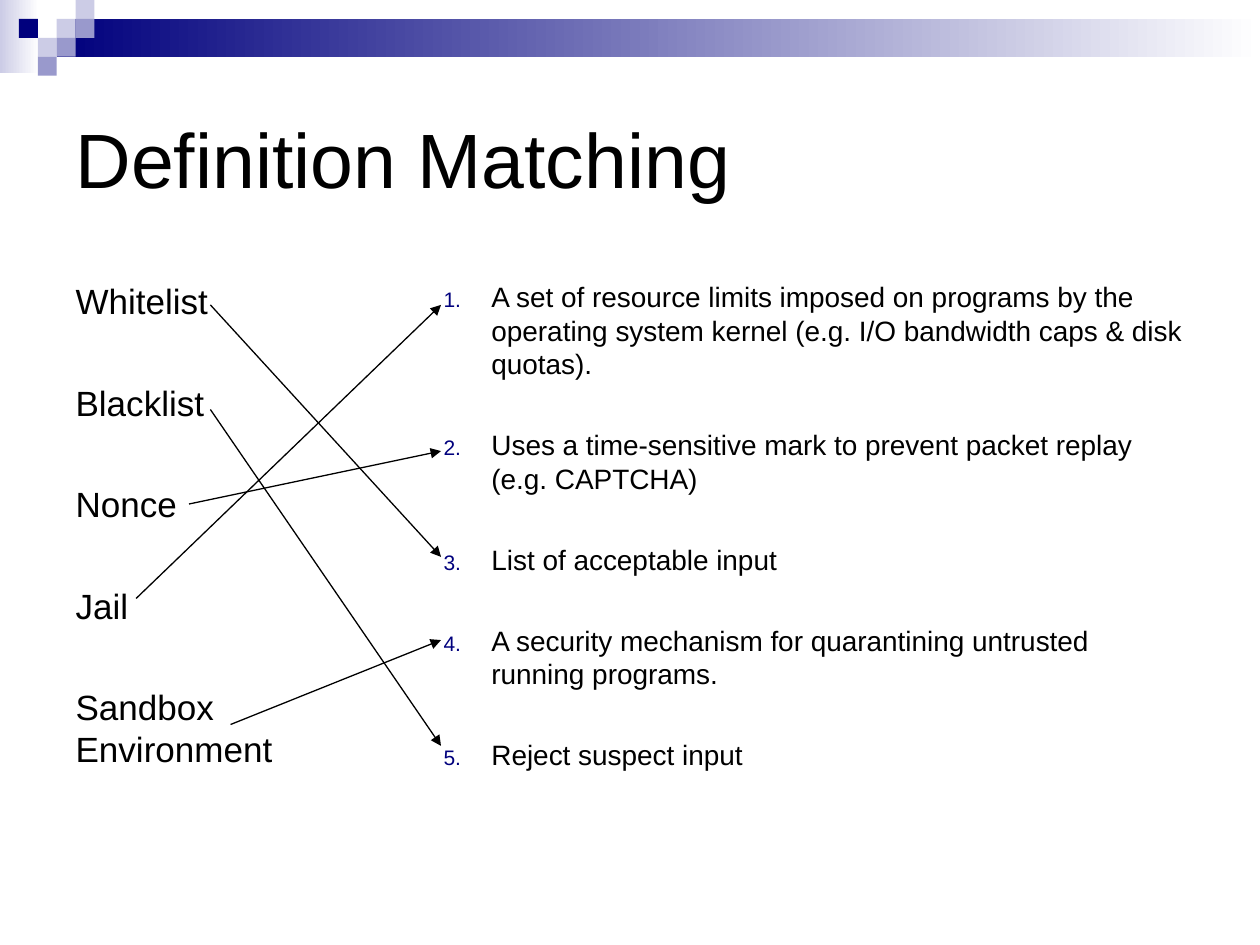
from lxml.etree import SubElement
from pptx import Presentation
from pptx.dml.color import RGBColor
from pptx.enum.shapes import MSO_CONNECTOR, MSO_SHAPE
from pptx.enum.text import MSO_ANCHOR, MSO_AUTO_SIZE, PP_ALIGN
from pptx.oxml.ns import qn
from pptx.util import Inches, Pt

COLORS = {"black": "000000", "white": "FFFFFF", "navy": "00007D",
          "lavender": "CCCCE6", "periwinkle": "9999CC"}
FONT = "Arial"
CELL = 0.15
SQUARES = [(3, 1, "lavender"), (4, 0, "lavender"), (4, 1, "periwinkle"),
           (2, 2, "lavender"), (1, 1, "navy"), (3, 2, "periwinkle"),
           (2, 3, "periwinkle")]
TERMS = ["Whitelist", "Blacklist", "Nonce", "Jail", "Sandbox Environment"]
DEFINITIONS = [
    "A set of resource limits imposed on programs by the operating system "
    "kernel (e.g. I/O bandwidth caps & disk quotas).",
    "Uses a time-sensitive mark to prevent packet replay (e.g. CAPTCHA)",
    "List of acceptable input",
    "A security mechanism for quarantining untrusted running programs.",
    "Reject suspect input",
]
ARROW_TIP = 3.5
MATCHES = [(1.67, 2.42, 4.42), (1.67, 3.25, 5.92), (1.5, 4, 3.58),
           (1.08, 4.75, 2.42), (1.83, 5.75, 5.08)]


def color(name):
    return RGBColor.from_string(COLORS[name])


def add_rectangle(slide, left, top, width, height, start, end=None):
    shape = slide.shapes.add_shape(
        MSO_SHAPE.RECTANGLE, Inches(left), Inches(top), Inches(width), Inches(height))
    shape.shadow.inherit = False
    shape.line.fill.background()
    if end is None:
        shape.fill.solid()
        shape.fill.fore_color.rgb = color(start)
        return
    shape.fill.gradient()
    shape.fill.gradient_angle = 0
    for stop, name in zip(shape.fill.gradient_stops, (start, end)):
        stop.color.rgb = color(name)


def add_banner(slide):
    add_rectangle(slide, 0, 0, 0.31, 0.58, "lavender", "white")
    add_rectangle(slide, 0.45, CELL, 9.55, 0.3, "navy", "white")
    for column, row, name in SQUARES:
        add_rectangle(slide, column * CELL, row * CELL, CELL, CELL, name)


def place(box, left, top, width, height):
    box.left, box.top = Inches(left), Inches(top)
    box.width, box.height = Inches(width), Inches(height)
    box.text_frame.word_wrap = True
    box.text_frame.auto_size = MSO_AUTO_SIZE.NONE


def set_font(para, size):
    para.alignment = PP_ALIGN.LEFT
    para.font.name = FONT
    para.font.size = Pt(size)
    para.font.color.rgb = color("black")


def set_bullet(para, numbered):
    properties = para._p.get_or_add_pPr()
    indent = Inches(0.38) if numbered else 0
    properties.set("marL", str(indent))
    properties.set("indent", str(-indent))
    if not numbered:
        SubElement(properties, qn("a:buNone"))
        return
    bullet_color = SubElement(properties, qn("a:buClr"))
    SubElement(bullet_color, qn("a:srgbClr"), val=COLORS["navy"])
    SubElement(properties, qn("a:buSzPct"), val="75000")
    SubElement(properties, qn("a:buFont"), typeface=FONT)
    SubElement(properties, qn("a:buAutoNum"), type="arabicPeriod")


def fill_title(box, text):
    place(box, 0.5, 0.5, 9, 1.5)
    box.text_frame.vertical_anchor = MSO_ANCHOR.MIDDLE
    box.text_frame.text = text
    set_font(box.text_frame.paragraphs[0], 44)


def fill_list(box, items, size, gap, numbered=False):
    frame = box.text_frame
    frame.text = "\n".join(items)
    for index, para in enumerate(frame.paragraphs):
        set_bullet(para, numbered)
        para.space_before = Pt(gap if index else 0)
        set_font(para, size)


def add_arrow(slide, left, start, end):
    arrow = slide.shapes.add_connector(
        MSO_CONNECTOR.STRAIGHT, Inches(left), Inches(start),
        Inches(ARROW_TIP), Inches(end))
    arrow.line.color.rgb = color("black")
    arrow.line.width = Pt(0.75)
    SubElement(arrow.line._get_or_add_ln(), qn("a:tailEnd"), type="triangle")
    SubElement(arrow._element.spPr, qn("a:effectLst"))


def main():
    deck = Presentation()
    deck.slide_width, deck.slide_height = Inches(10), Inches(7.5)
    slide = deck.slides.add_slide(deck.slide_layouts.get_by_name("Two Content"))
    title, terms, definitions = list(slide.placeholders)[:3]
    add_banner(slide)
    fill_title(title, "Definition Matching")
    place(terms, 0.5, 2.17, 2.17, 4.25)
    fill_list(terms, TERMS, 20, 34)
    place(definitions, 3.42, 2.17, 6.08, 4.25)
    fill_list(definitions, DEFINITIONS, 16, 27, numbered=True)
    for match in MATCHES:
        add_arrow(slide, *match)
    deck.save("out.pptx")


if __name__ == "__main__":
    main()
